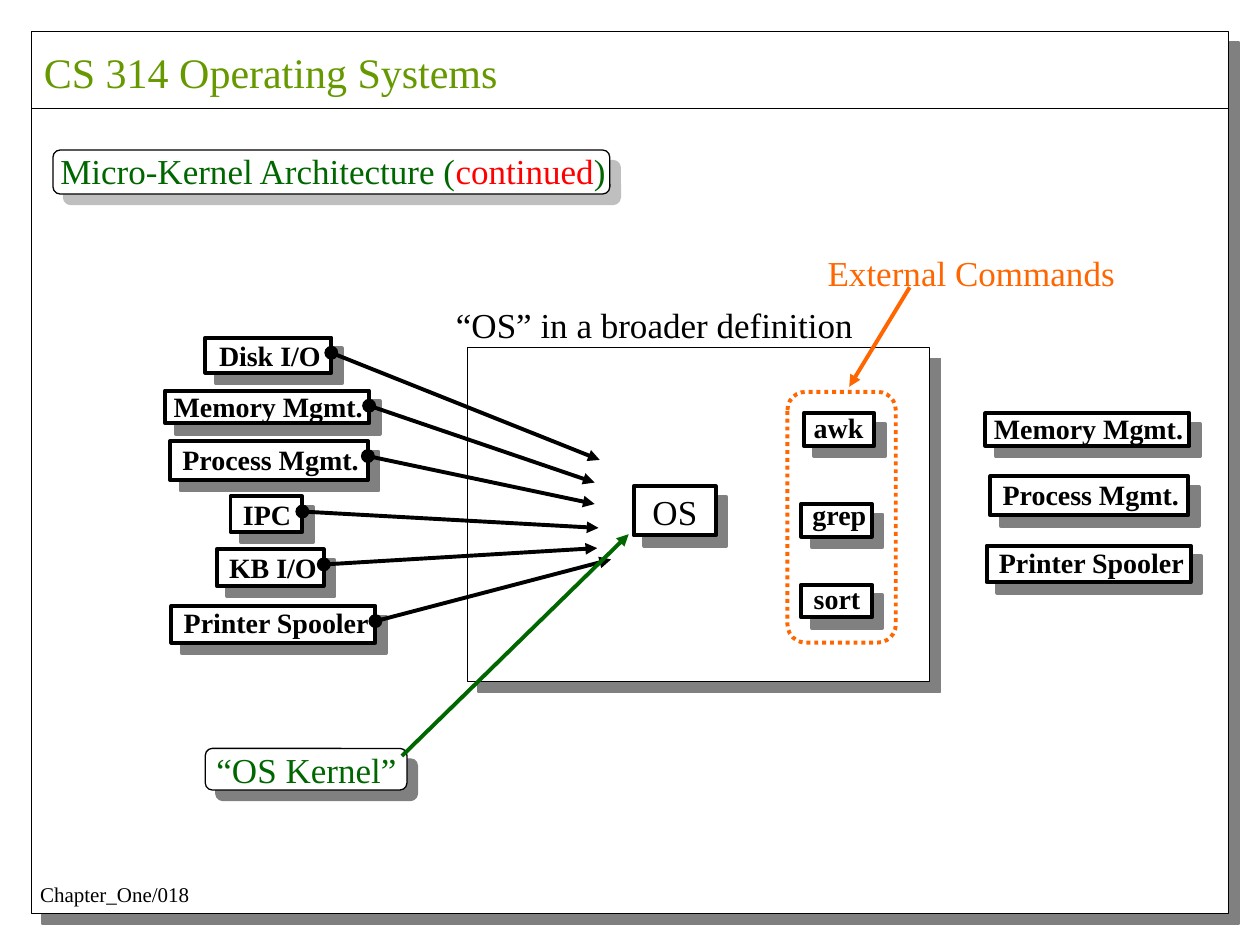
from dataclasses import dataclass

from lxml.etree import SubElement
from pptx import Presentation
from pptx.dml.color import RGBColor
from pptx.enum.dml import MSO_LINE
from pptx.enum.shapes import MSO_CONNECTOR, MSO_SHAPE
from pptx.enum.text import MSO_ANCHOR, MSO_AUTO_SIZE as AUTO_SIZE, PP_ALIGN
from pptx.oxml.ns import qn
from pptx.util import Emu, Pt

PX = 9144  # 100 px to the inch
TEXT_SLACK = 4  # spare width that keeps each text on one line


@dataclass(frozen=True)
class Theme:
    font: str = "Times New Roman"
    black: str = "000000"
    white: str = "FFFFFF"
    shadow: str = "808080"
    course: str = "669900"
    green: str = "006600"
    red: str = "FF0000"
    orange: str = "FF6600"
    title_size: int = 24
    heading_size: int = 20
    label_size: int = 16
    footer_size: int = 12
    thin: float = 0.75
    thick: float = 2.25


THEME = Theme()

# Label: box width, box height, text offset x, text offset y, text width
LABELS = {
    "Disk I/O": (100, 28, 1, -4, 100),
    "Memory Mgmt.": (162, 26, -3, -6, 170),
    "Process Mgmt.": (157, 31, 0, -4, 160),
    "IPC": (57, 28, 0, -4, 58),
    "KB I/O": (85, 29, 0, -4, 89),
    "Printer Spooler": (162, 29, 0, -5, 167),
    "awk": (56, 26, -2, -7, 59),
    "grep": (56, 26, -1, -10, 63),
    "sort": (56, 26, 0, -7, 57),
}


def px(*lengths):
    return [Emu(length * PX) for length in lengths]


def add_box(slide, box, kind=MSO_SHAPE.RECTANGLE, fill=THEME.white,
            line=THEME.black, weight=THEME.thin, shadow=None):
    """Add a preset shape; shadow is the opacity of its shadow in percent."""
    shape = slide.shapes.add_shape(kind, *px(*box))
    if fill:
        shape.fill.solid()
        shape.fill.fore_color.rgb = RGBColor.from_string(fill)
    else:
        shape.fill.background()
    shape.line.color.rgb = RGBColor.from_string(line)
    shape.line.width = Pt(weight)
    shape.shadow.inherit = False
    if shadow:
        effects = shape._element.spPr.find(qn("a:effectLst"))
        outer = SubElement(effects, qn("a:outerShdw"), dist=str(Pt(8.5)),
                           dir="2700000", algn="ctr", rotWithShape="0")
        color = SubElement(outer, qn("a:srgbClr"), val=THEME.shadow)
        SubElement(color, qn("a:alpha"), val=str(shadow * 1000))
    return shape


def add_text(slide, box, *runs, size=THEME.heading_size, bold=False):
    """Add one line of text made of (wording, colour) runs."""
    left, top, width, height = box
    text_box = slide.shapes.add_textbox(*px(left, top, width + TEXT_SLACK, height))
    frame = text_box.text_frame
    frame_format = {"word_wrap": False, "auto_size": AUTO_SIZE.SHAPE_TO_FIT_TEXT,
                    "vertical_anchor": MSO_ANCHOR.TOP}
    for name, value in frame_format.items():
        setattr(frame, name, value)
    paragraph = frame.paragraphs[0]
    paragraph.alignment = PP_ALIGN.LEFT
    for wording, color in runs:
        run = paragraph.add_run()
        run.text = wording
        font_format = {"name": THEME.font, "size": Pt(size), "bold": bold}
        for name, value in font_format.items():
            setattr(run.font, name, value)
        run.font.color.rgb = RGBColor.from_string(color)


def add_line(slide, start, end, color=THEME.black, weight=THEME.thick, arrow=True):
    connector = slide.shapes.add_connector(MSO_CONNECTOR.STRAIGHT, *px(*start, *end))
    connector.line.color.rgb = RGBColor.from_string(color)
    connector.line.width = Pt(weight)
    properties = connector._element.spPr
    if arrow:
        SubElement(properties.find(qn("a:ln")), qn("a:tailEnd"), type="triangle")
    SubElement(properties, qn("a:effectLst"))


def add_label(slide, left, top, wording):
    width, height, dx, dy, text_width = LABELS[wording]
    add_box(slide, (left, top, width, height), weight=THEME.thick, shadow=100)
    add_text(slide, (left + dx, top + dy, text_width, 37), (wording, THEME.black),
             size=THEME.label_size, bold=True)


def draw_frame(slide, box):
    left, top, width, height = box
    add_box(slide, box, shadow=100)
    add_line(slide, (left, top + 61), (left + width, top + 61),
             weight=THEME.thin, arrow=False)
    add_text(slide, (left, top + 7, 380, 50),
             ("CS 314 Operating Systems", THEME.course), size=THEME.title_size)
    add_text(slide, (left - 3, top + height - 30, 138, 30),
             ("Chapter_One/018", THEME.black), size=THEME.footer_size)


def draw_heading(slide, box):
    left, top = box[:2]
    add_box(slide, box, MSO_SHAPE.ROUNDED_RECTANGLE, shadow=50)
    add_text(slide, (left - 4, top - 5, 454, 44),
             ("Micro-Kernel Architecture (", THEME.green),
             ("continued", THEME.red), (")", THEME.green))


def draw_system(slide, box):
    left, top = box[:2]
    add_box(slide, box, shadow=100)
    add_text(slide, (left - 19, top - 40, 335, 44),
             ("“OS” in a broader definition", THEME.black))
    add_box(slide, (left + 132, top + 110, 65, 39), weight=THEME.thick, shadow=100)
    add_text(slide, (left + 137, top + 108, 55, 44), ("OS", THEME.black))


def draw_commands(slide, box):
    left, top = box[:2]
    for dx, dy, wording in ((13, 17, "awk"), (11, 89, "grep"), (11, 153, "sort")):
        add_label(slide, left + dx, top + dy, wording)
    outline = add_box(slide, box, MSO_SHAPE.ROUNDED_RECTANGLE, fill=None,
                      line=THEME.orange, weight=THEME.thick)
    outline.line.dash_style = MSO_LINE.ROUND_DOT
    add_text(slide, (left + 22, top - 116, 248, 44),
             ("External Commands", THEME.orange))
    add_line(slide, (left + 97, top - 83), (left + 49, top - 4), THEME.orange)


def draw_services(slide, box):
    """Draw the services, each with a dot and an arrow towards the system."""
    left, top = box[:2]
    services = (
        ("Disk I/O", 32, 0, (345, 97)),
        ("Memory Mgmt.", 0, 42, (341, 115)),
        ("Process Mgmt.", 4, 82, (341, 132)),
        ("IPC", 52, 126, (344, 151)),
        ("KB I/O", 41, 168, (343, 167)),
        ("Printer Spooler", 5, 213, (354, 176)),
    )
    for wording, dx, dy, (tip_x, tip_y) in services:
        add_label(slide, left + dx, top + dy, wording)
        dot_x, dot_y = left + dx + LABELS[wording][0], top + dy + 12
        add_box(slide, (dot_x - 5, dot_y - 5, 10, 10), MSO_SHAPE.OVAL, fill=THEME.black)
        add_line(slide, (dot_x, dot_y), (left + tip_x, top + tip_y))


def draw_kernel(slide, box):
    left, top = box[:2]
    add_box(slide, box, MSO_SHAPE.ROUNDED_RECTANGLE, shadow=100)
    add_text(slide, (left - 1, top - 5, 163, 44), ("“OS Kernel”", THEME.green))
    add_line(slide, (left + 156, top + 6), (left + 336, top - 170), THEME.green)


def draw_outside_services(slide, box):
    left, top = box[:2]
    for dx, dy, wording in ((0, 0, "Memory Mgmt."), (4, 50, "Process Mgmt."),
                            (1, 105, "Printer Spooler")):
        add_label(slide, left + dx, top + dy, wording)


def main():
    presentation = Presentation()
    presentation.slide_width, presentation.slide_height = px(1000, 750)
    slide = presentation.slides.add_slide(presentation.slide_layouts[6])
    draw_frame(slide, (25, 25, 950, 700))
    draw_system(slide, (371, 276, 367, 265))
    draw_services(slide, (131, 268, 167, 242))
    draw_commands(slide, (625, 311, 86, 199))
    draw_kernel(slide, (163, 594, 160, 33))
    draw_heading(slide, (42, 119, 442, 35))
    draw_outside_services(slide, (782, 328, 163, 134))
    presentation.save("out.pptx")


if __name__ == "__main__":
    main()
